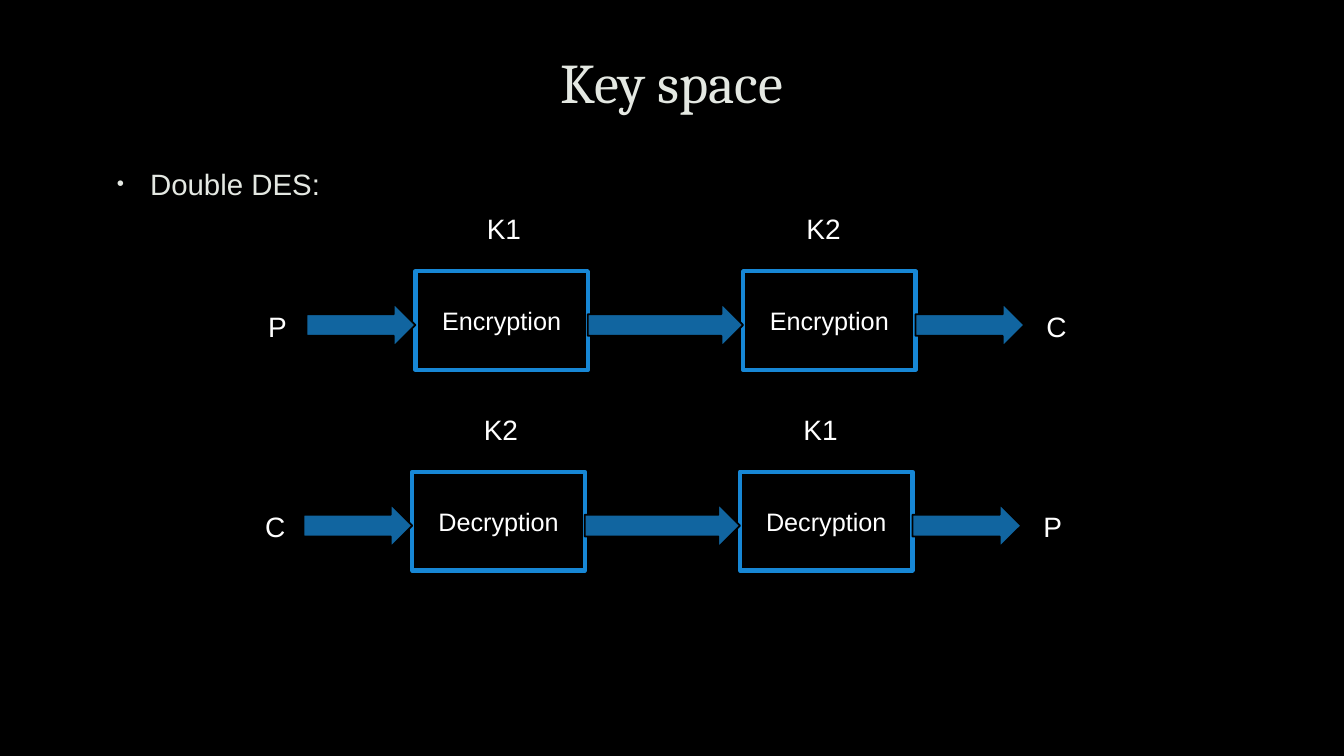
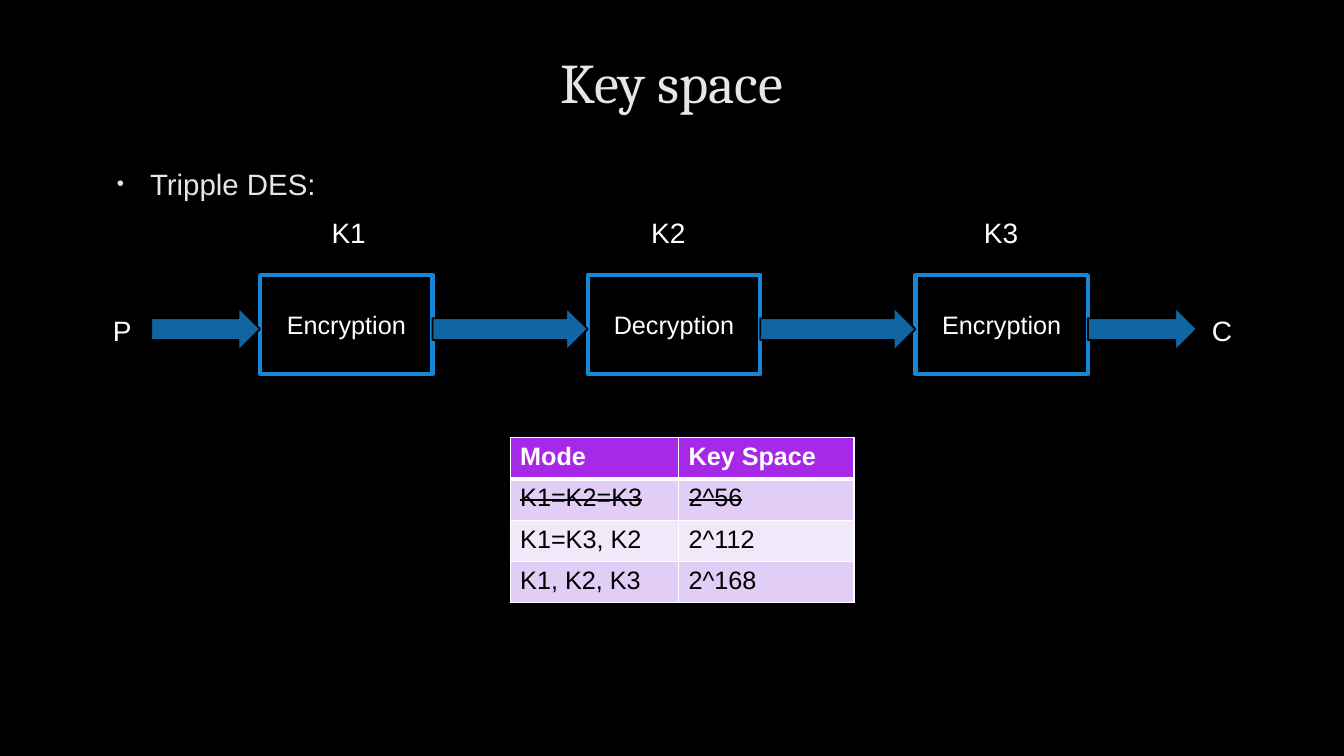
import lxml.etree
import pptx
import pptx.dml.color
import pptx.enum.shapes
import pptx.enum.text
import pptx.oxml.ns
import pptx.util

SHAPE = pptx.enum.shapes.MSO_SHAPE
ALIGN = pptx.enum.text.PP_ALIGN
ANCHOR = pptx.enum.text.MSO_ANCHOR
FIT = pptx.enum.text.MSO_AUTO_SIZE

PX = 9144
THEME = {
    "background": "000000",
    "box_line": "1787D5",
    "arrow": "1165A0",
    "grid": "FFFFFF",
    "header": "A629E7",
    "bands": ("E1CDF6", "F1E8FA"),
    "title": {"name": "Cambria", "size": 40, "color": "E4E8E2"},
    "body": {"name": "Arial", "size": 21, "color": "E4E8E2"},
    "label": {"name": "Arial", "size": 20, "color": "FFFFFF"},
    "stage": {"name": "Arial", "size": 18, "color": "FFFFFF"},
    "head": {"name": "Arial", "size": 18, "color": "FFFFFF", "bold": True},
    "cell": {"name": "Arial", "size": 18, "color": "000000", "bold": False},
}

SLIDES = [
    {
        "title": "Key space",
        "bullet": "Double DES:",
        "pipelines": [
            {"at": (412, 269), "ends": ("P", "C"), "output_gap": 12,
             "stages": [("K1", "Encryption"), ("K2", "Encryption")]},
            {"at": (409, 468), "ends": ("C", "P"), "output_gap": 12,
             "stages": [("K2", "Decryption"), ("K1", "Decryption")]},
        ],
    },
    {
        "title": "Key space",
        "bullet": "Tripple DES:",
        "pipelines": [
            {"at": (258, 273), "ends": ("P", "C"), "output_gap": 5,
             "stages": [("K1", "Encryption"), ("K2", "Decryption"), ("K3", "Encryption")]},
        ],
        "table": {
            "at": (506, 434),
            "columns": (167, 174),
            "row_height": 41,
            "rows": [("Mode", "Key Space"), ("K1=K2=K3", "2^56"),
                     ("K1=K3, K2", "2^112"), ("K1, K2, K3", "2^168")],
            "struck": {1},
        },
    },
]

STAGE_WIDTH, STAGE_HEIGHT, STAGE_PITCH = 171, 98, 325
ARROW_HEIGHT, ARROW_DROP, OUTER_ARROW = 43, 32, 108
LABEL_HEIGHT, END_WIDTH, KEY_WIDTH = 44, 48, 66
KEY_OFFSETS, KEY_RISE = (61, 53, 58), 64


def rgb(value):
    return pptx.dml.color.RGBColor.from_string(value)


def place(*lengths):
    return [length * PX for length in lengths]


def style_font(font, style):
    values = dict(style)
    font.color.rgb = rgb(values.pop("color"))
    values["size"] = pptx.util.Pt(values["size"])
    for name, value in values.items():
        setattr(font, name, value)


def write(frame, text, style, **formats):
    para = frame.paragraphs[0]
    span = para.add_run()
    span.text = text
    style_font(span.font, style)
    for name, value in formats.items():
        setattr(para, name, value)
    return span


def add_text(page, area, text, style, frame_formats, **formats):
    box = page.shapes.add_textbox(*place(*area))
    for name, value in {"word_wrap": True, **frame_formats}.items():
        setattr(box.text_frame, name, value)
    write(box.text_frame, text, style, **formats)
    return box


def add_label(page, left, top, width, text):
    add_text(page, (left, top, width, LABEL_HEIGHT), text, THEME["label"],
             {"auto_size": FIT.SHAPE_TO_FIT_TEXT})


def add_block(page, kind, area, fill, line, weight):
    block = page.shapes.add_shape(kind, *place(*area))
    block.shadow.inherit = False
    if fill:
        block.fill.solid()
        block.fill.fore_color.rgb = rgb(fill)
    else:
        block.fill.background()
    block.line.color.rgb = rgb(line)
    block.line.width = pptx.util.Pt(weight)
    return block


def add_child(parent, tag, **values):
    child = lxml.etree.SubElement(parent, pptx.oxml.ns.qn(tag))
    for name, value in values.items():
        child.set(name, str(value))
    return child


def add_heading(page, title, bullet):
    add_text(page, (100, 16, 1132, 138), title, THEME["title"],
             {"vertical_anchor": ANCHOR.MIDDLE},
             alignment=ALIGN.CENTER, line_spacing=0.9)
    body = add_text(page, (101, 153, 1132, 406), bullet, THEME["body"],
                    {"margin_top": 8 * PX})
    para = body.text_frame.paragraphs[0]
    properties = para._p.get_or_add_pPr()
    properties.set("marL", str(38 * PX))
    properties.set("indent", str(-33 * PX))
    add_child(add_child(properties, "a:buClr"), "a:srgbClr", val=THEME["body"]["color"])
    add_child(properties, "a:buSzPct", val=70000)
    add_child(properties, "a:buFont", typeface="Arial")
    add_child(properties, "a:buChar", char="•")
    para.line_spacing = 1.1
    para.space_after = pptx.util.Pt(6)


def add_pipeline(page, at, ends, output_gap, stages):
    left, top = at
    lefts = [left + index * STAGE_PITCH for index in range(len(stages))]
    for stage_left, offset, (key, name) in zip(lefts, KEY_OFFSETS, stages):
        box = add_block(page, SHAPE.RECTANGLE, (stage_left, top, STAGE_WIDTH, STAGE_HEIGHT),
                        None, THEME["box_line"], 3)
        box.text_frame.vertical_anchor = ANCHOR.MIDDLE
        write(box.text_frame, name, THEME["stage"], alignment=ALIGN.CENTER)
        add_label(page, stage_left + offset, top - KEY_RISE, KEY_WIDTH, key)

    start = left - OUTER_ARROW
    finish = lefts[-1] + STAGE_WIDTH
    link = STAGE_PITCH - STAGE_WIDTH
    arrows = [(start, OUTER_ARROW)]
    arrows += [(stage_left + STAGE_WIDTH, link) for stage_left in lefts[:-1]]
    arrows.append((finish, OUTER_ARROW))
    for arrow_left, width in arrows:
        add_block(page, SHAPE.RIGHT_ARROW, (arrow_left, top + ARROW_DROP, width, ARROW_HEIGHT),
                  THEME["arrow"], THEME["background"], 1.25)

    end_lefts = (start - END_WIDTH, finish + OUTER_ARROW + output_gap)
    for end_left, text in zip(end_lefts, ends):
        add_label(page, end_left, top + ARROW_DROP + 1, END_WIDTH, text)


def style_cell(cell, fill, weights):
    properties = cell._tc.get_or_add_tcPr()
    for side, weight in weights.items():
        line = add_child(properties, "a:" + side, w=pptx.util.Pt(weight))
        add_child(add_child(line, "a:solidFill"), "a:srgbClr", val=THEME["grid"])
    cell.fill.solid()
    cell.fill.fore_color.rgb = rgb(fill)


def add_grid(page, at, columns, row_height, rows, struck):
    size = sum(columns), row_height * len(rows)
    grid = page.shapes.add_table(len(rows), len(columns), *place(*at, *size)).table
    for column, width in zip(grid.columns, columns):
        column.width = width * PX
    for row_index, texts in enumerate(rows):
        grid.rows[row_index].height = row_height * PX
        header = row_index == 0
        fill = THEME["header"] if header else THEME["bands"][(row_index - 1) % 2]
        weights = {"lnL": 1, "lnR": 1, "lnT": 3 if row_index == 1 else 1, "lnB": 3 if header else 1}
        for column_index, text in enumerate(texts):
            cell = grid.cell(row_index, column_index)
            style_cell(cell, fill, weights)
            span = write(cell.text_frame, text, THEME["head" if header else "cell"])
            if row_index in struck:
                span._r.get_or_add_rPr().set("strike", "sngStrike")


def main():
    deck = pptx.Presentation()
    deck.slide_width, deck.slide_height = place(1333, 750)
    backdrop = deck.slide_master.background.fill
    backdrop.solid()
    backdrop.fore_color.rgb = rgb(THEME["background"])
    for content in SLIDES:
        page = deck.slides.add_slide(deck.slide_layouts[6])
        add_heading(page, content["title"], content["bullet"])
        for pipeline in content["pipelines"]:
            add_pipeline(page, **pipeline)
        if "table" in content:
            add_grid(page, **content["table"])
    deck.save("out.pptx")


if __name__ == "__main__":
    main()
